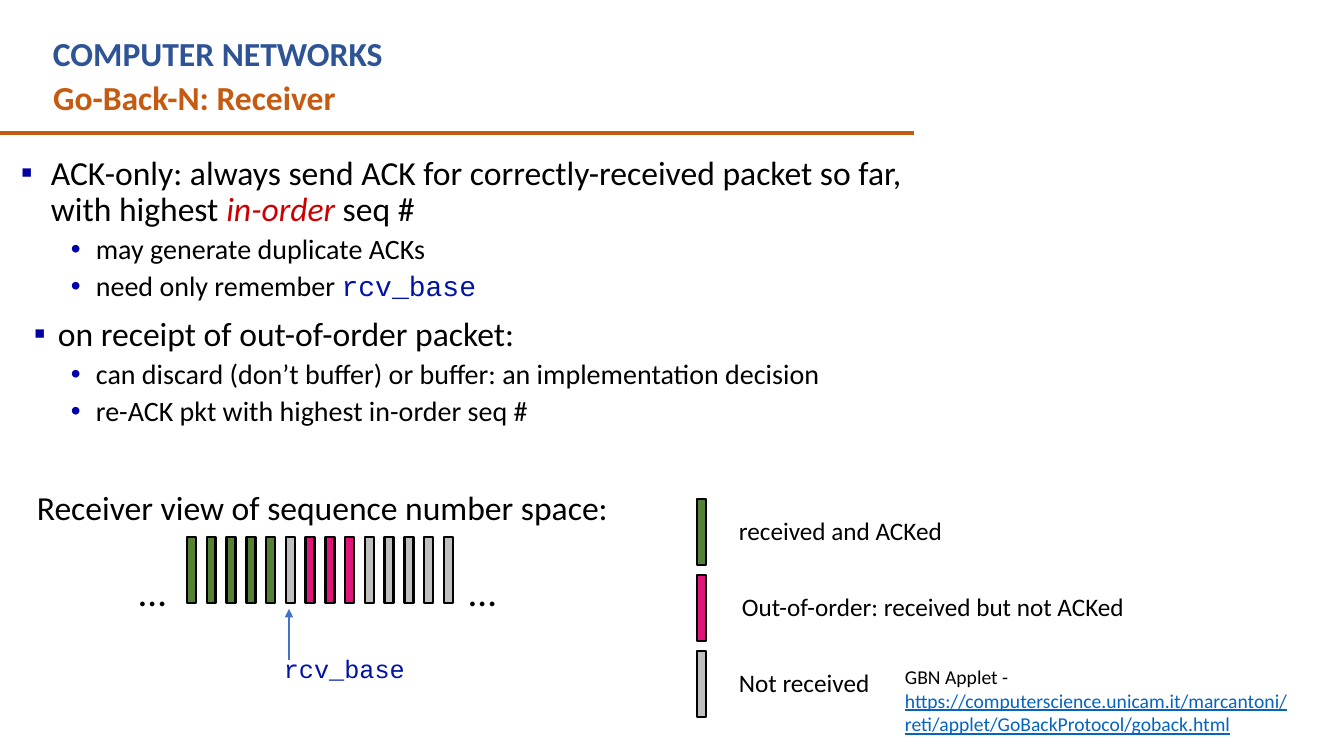
from lxml import etree
from pptx import Presentation
from pptx.dml.color import RGBColor
from pptx.enum.shapes import MSO_CONNECTOR, MSO_SHAPE
from pptx.enum.text import MSO_ANCHOR, MSO_AUTO_SIZE, PP_ALIGN
from pptx.oxml.ns import qn
from pptx.util import Pt

LINE, RECT = MSO_CONNECTOR.STRAIGHT, MSO_SHAPE.RECTANGLE
TOP, LEFT, FIXED = MSO_ANCHOR.TOP, PP_ALIGN.LEFT, MSO_AUTO_SIZE.NONE

BLACK = RGBColor(0, 0, 0)
ORANGE = RGBColor(0xC5, 0x5A, 0x11)
NAVY = RGBColor(0x2F, 0x54, 0x96)
RED = RGBColor(0xCC, 0, 0)
CODE = RGBColor(0, 0x13, 0xA3)
SQUARE = RGBColor(0, 0, 0xA3)
DOT = RGBColor(0, 0, 0xA8)
GREEN = RGBColor(0x54, 0x81, 0x35)
PINK = RGBColor(0xDF, 0x16, 0x7A)
GREY = RGBColor(0xBF, 0xBF, 0xBF)
BLUE = RGBColor(0x44, 0x72, 0xC4)
LINK = RGBColor(0x05, 0x63, 0xC1)

SCALE = 914400 / 100.8
MONO = {"font": "Courier New", "color": CODE}

FIRST = {"mark": "▪", "tint": SQUARE, "indent": 32, "hang": 30, "size": 24}
MAIN = {"mark": "▪", "tint": SQUARE, "indent": 39, "hang": 24, "size": 24, "before": 10}
SUB = {"mark": "•", "tint": DOT, "indent": 77, "hang": 25, "size": 20, "before": 5, "level": 1}

POINTS = [
    (FIRST, [("ACK-only: always send ACK for correctly-received packet so far, with highest ", {}),
             ("in-order", {"color": RED, "italic": True}), (" seq #", {})]),
    (SUB, [("may generate duplicate ACKs", {})]),
    (SUB, [("need only remember ", {}), ("rcv_base", MONO)]),
    (MAIN, [("on receipt of out-of-order packet:", {})]),
    (SUB, [("can discard (don’t buffer) or buffer: an implementation decision", {})]),
    (SUB, [("re-ACK pkt with highest in-order seq #", {})]),
]
APPLET = [
    ({"size": 14}, [("GBN Applet -", {})]),
    ({"size": 14}, [("https://computerscience.unicam.it/marcantoni/reti/applet/GoBackProtocol/goback.html",
                     {"color": LINK, "under": True})]),
]
PACKETS = [GREEN] * 5 + [GREY] + [PINK] * 3 + [GREY] * 5
LEGEND = [
    (GREEN, "received and ACKed", 729),
    (PINK, "Out-of-order: received but not ACKed", 732),
    (GREY, "Not received", 729),
]
LABELS = [
    ("COMPUTER NETWORKS", (43, 28, 827, 50), {"size": 24, "color": NAVY, "bold": True}),
    ("Receiver view of sequence number space:", (27, 482, 610, 50), {"size": 24}),
    ("rcv_base", (274, 648, 150, 40), {"size": 18, **MONO}),
    ("…", (129, 562, 47, 57), {"size": 28}),
    ("…", (459, 562, 47, 57), {"size": 28}),
]
BAR_W, BAR_H = 9, 66
ROW_X, ROW_Y, ROW_END = 187, 537, 444
KEY_X, KEY_Y, KEY_STEP = 697, 499, 76


def px(num):
    return round(num * SCALE)


def area(*nums):
    return [px(num) for num in nums]


def write(para, text, size=18, color=BLACK, font="Calibri", bold=False, italic=False, under=False):
    run = para.add_run()
    run.text = text
    face = run.font
    face.size, face.name = Pt(size), font
    face.bold, face.italic, face.underline = bold, italic, under
    face.color.rgb = color


def bullet(para, mark, tint, indent, hang):
    props = para._p.get_or_add_pPr()
    props.set("marL", str(px(indent)))
    props.set("indent", str(-px(hang)))
    paint = etree.SubElement(props, qn("a:buClr"))
    etree.SubElement(paint, qn("a:srgbClr"), val=str(tint))
    etree.SubElement(props, qn("a:buFont"), typeface="Arial")
    etree.SubElement(props, qn("a:buChar"), char=mark)


def add_box(slide, place, inset=5):
    frame = slide.shapes.add_textbox(*area(*place)).text_frame
    frame.word_wrap = True
    frame.margin_top = frame.margin_bottom = px(inset)
    return frame


def fill_box(frame, paras):
    for num, (style, runs) in enumerate(paras):
        para = frame.add_paragraph() if num else frame.paragraphs[0]
        if "mark" in style:
            bullet(para, style["mark"], style["tint"], style["indent"], style["hang"])
            para.line_spacing = 0.9
        if "before" in style:
            para.space_before = Pt(style["before"])
        para.level = style.get("level", 0)
        for text, extra in runs:
            write(para, text, size=style["size"], **extra)


def add_bar(slide, left, top, color):
    bar = slide.shapes.add_shape(RECT, *area(left, top, BAR_W, BAR_H))
    bar.shadow.inherit = False
    bar.fill.solid()
    bar.fill.fore_color.rgb = color
    bar.line.color.rgb = BLACK
    bar.line.width = Pt(1.75)


def add_line(slide, ends, color, width, arrow=False):
    line = slide.shapes.add_connector(LINE, *area(*ends))
    line.line.color.rgb = color
    line.line.width = Pt(width)
    if arrow:
        etree.SubElement(line.line._get_or_add_ln(), qn("a:tailEnd"), type="triangle")
    etree.SubElement(line._element.spPr, qn("a:effectLst"))


def add_title(slide):
    title = slide.shapes.title
    title.left, title.top, title.width, title.height = area(43, 72, 971, 50)
    frame = title.text_frame
    frame.vertical_anchor, frame.auto_size = TOP, FIXED
    para = frame.paragraphs[0]
    para.alignment, para.line_spacing = LEFT, 1.0
    write(para, "Go-Back-N: Receiver", size=24, color=ORANGE, bold=True)


def main():
    deck = Presentation()
    deck.slide_width, deck.slide_height = area(1344, 756)
    slide = deck.slides.add_slide(deck.slide_layouts[5])
    add_title(slide)
    add_line(slide, (0, 133, 914, 133), ORANGE, 3)
    for text, place, style in LABELS:
        write(add_box(slide, place).paragraphs[0], text, **style)
    fill_box(add_box(slide, (9, 151, 951, 314)), POINTS)
    step = (ROW_END - ROW_X) / (len(PACKETS) - 1)
    for num, color in enumerate(PACKETS):
        add_bar(slide, ROW_X + num * step, ROW_Y, color)
    add_line(slide, (289, 660, 289, 609), BLUE, 1.75, arrow=True)
    for num, (color, text, left) in enumerate(LEGEND):
        top = KEY_Y + num * KEY_STEP
        add_bar(slide, KEY_X, top, color)
        write(add_box(slide, (left, top + 11, 420, 40)).paragraphs[0], text)
    fill_box(add_box(slide, (895, 655, 433, 88), inset=10), APPLET)
    deck.save("out.pptx")


if __name__ == "__main__":
    main()
